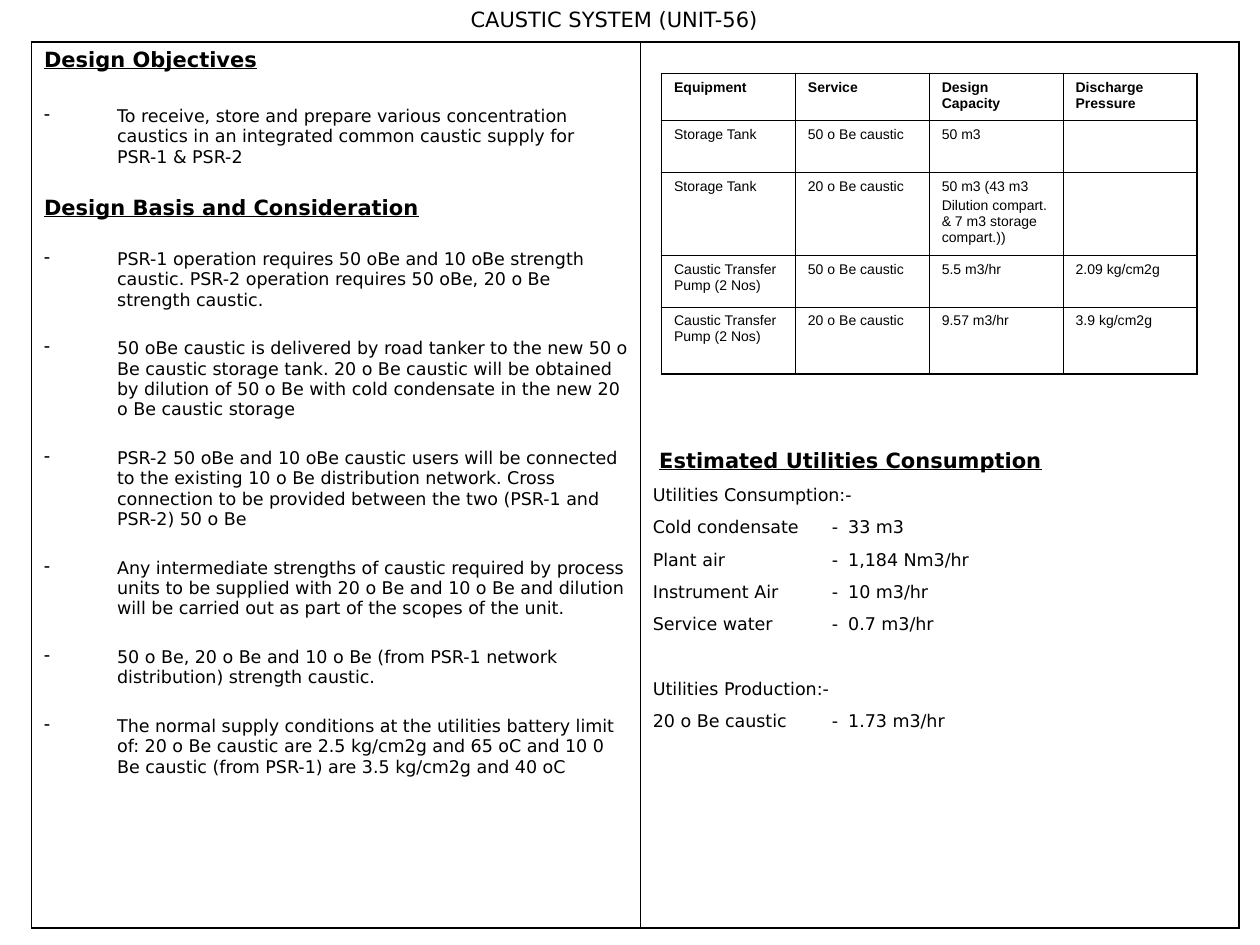
from lxml.etree import SubElement
from pptx import Presentation
from pptx.dml.color import RGBColor as Color
from pptx.enum.text import PP_ALIGN as Align
from pptx.oxml.ns import qn
from pptx.util import Inches, Pt

COLORS = {"ink": "000000"}
BODY_FONT, TABLE_FONT = "DejaVu Sans", "Arial"
UNIT = Inches(10) / 120  # the slide is a grid of 120 columns by 90 rows
THICK, THIN = 1.08, 0.45

OBJECTIVES = [
    "To receive, store and prepare various concentration caustics in an integrated "
    "common caustic supply for PSR-1 & PSR-2",
]
CONSIDERATIONS = [
    "PSR-1 operation requires 50 oBe and 10 oBe strength caustic. PSR-2 operation "
    "requires 50 oBe, 20 o Be strength caustic.",
    "50 oBe caustic is delivered by road tanker to the new 50 o Be caustic storage tank. "
    "20 o Be caustic will be obtained by dilution of 50 o Be with cold condensate in the "
    "new 20 o Be caustic storage",
    "PSR-2 50 oBe and 10 oBe caustic users will be connected to the existing 10 o Be "
    "distribution network. Cross connection to be provided between the two (PSR-1 and "
    "PSR-2) 50 o Be",
    "Any intermediate strengths of caustic required by process units to be supplied with "
    "20 o Be and 10 o Be and dilution will be carried out as part of the scopes of the unit.",
    "50 o Be, 20 o Be and 10 o Be (from PSR-1 network distribution) strength caustic.",
    "The normal supply conditions at the utilities battery limit of: 20 o Be caustic are "
    "2.5 kg/cm2g and 65 oC and 10 0 Be caustic (from PSR-1) are 3.5 kg/cm2g and 40 oC",
]
EQUIPMENT = [
    ["Equipment", "Service", "Design Capacity", "Discharge Pressure"],
    ["Storage Tank", "50 o Be caustic", "50 m3", ""],
    ["Storage Tank", "20 o Be caustic",
     "50 m3 (43 m3\nDilution compart. & 7 m3 storage compart.))", ""],
    ["Caustic Transfer Pump (2 Nos)", "50 o Be caustic", "5.5 m3/hr", "2.09 kg/cm2g"],
    ["Caustic Transfer Pump (2 Nos)", "20 o Be caustic", "9.57 m3/hr", "3.9 kg/cm2g"],
]
CONSUMPTION = [
    ("Cold condensate", "33 m3"),
    ("Plant air", "1,184 Nm3/hr"),
    ("Instrument Air", "10 m3/hr"),
    ("Service water", "0.7 m3/hr"),
]
PRODUCTION = [("20 o Be caustic", "1.73 m3/hr")]


def grid(*cells):
    return [round(cell * UNIT) for cell in cells]


def add_para(frame, text, size, font=BODY_FONT, before=0, bold=False, underline=False):
    """Write into the empty first paragraph, or else into a new one."""
    first = frame.paragraphs[0]
    if first.runs:
        para = frame.add_paragraph()
        para.space_before = Pt(before)
    else:
        para = first
    span = para.add_run()
    span.text = text
    span.font.name, span.font.size = font, Pt(size)
    span.font.bold, span.font.underline = bold, underline
    span.font.color.rgb = Color.from_string(COLORS["ink"])
    return para


def add_heading(frame, text, before=0):
    return add_para(frame, text, 12, before=before, bold=True, underline=True)


def add_dashes(frame, items, before):
    for item in items:
        para = add_para(frame, item, 10, before=before)
        props = para._p.get_or_add_pPr()
        props.set("marL", str(Inches(0.58)))
        props.set("indent", str(-Inches(0.58)))
        color = SubElement(props, qn("a:buClr"))
        SubElement(color, qn("a:srgbClr"), val=COLORS["ink"])
        SubElement(props, qn("a:buChar"), char="-")


def add_quantities(frame, title, items, before):
    """A title line, then name, dash and amount lined up on two tab stops."""
    gap = 6.5
    add_para(frame, title, 10, before=before)
    for name, amount in items:
        para = add_para(frame, f"{name}\t-\t{amount}", 10, before=gap)
        stops = SubElement(para._p.get_or_add_pPr(), qn("a:tabLst"))
        for stop in (1.42, 1.55):
            SubElement(stops, qn("a:tab"), pos=str(Inches(stop)), algn="l")


def add_box(page, *place):
    frame = page.shapes.add_textbox(*grid(*place)).text_frame
    frame.word_wrap = True
    return frame


def add_border(cell, side, width):
    line = SubElement(cell._tc.get_or_add_tcPr(), qn(f"a:ln{side}"), w=str(Pt(width)))
    fill = SubElement(line, qn("a:solidFill"))
    SubElement(fill, qn("a:srgbClr"), val=COLORS["ink"])


def add_ruled_table(page, left, top, widths, heights):
    """An unfilled table with a thick frame and thin inner rules."""
    place = grid(left, top, sum(widths), sum(heights))
    table = page.shapes.add_table(len(heights), len(widths), *place).table
    table.first_row = table.horz_banding = False
    for column, width in zip(table.columns, grid(*widths)):
        column.width = width
    for row, height in zip(table.rows, grid(*heights)):
        row.height = height
    last_row, last_col = len(heights) - 1, len(widths) - 1
    for r in range(len(heights)):
        for c in range(len(widths)):
            cell = table.cell(r, c)
            outer = {"L": c == 0, "R": c == last_col, "T": r == 0, "B": r == last_row}
            for side, is_outer in outer.items():
                add_border(cell, side, THICK if is_outer else THIN)
            cell.fill.background()
    return table


def add_design_panel(page):
    panel = add_ruled_table(page, 3, 4, [58, 57], [84.4])
    frame = panel.cell(0, 0).text_frame
    add_heading(frame, "Design Objectives")
    add_dashes(frame, OBJECTIVES, before=19)
    add_heading(frame, "Design Basis and Consideration", before=16.6)
    add_dashes(frame, CONSIDERATIONS, before=16.1)


def add_equipment(page):
    table = add_ruled_table(page, 63, 7, [12.75] * 4, [4.5, 4.9, 7.9, 4.9, 6.4])
    for r, row in enumerate(EQUIPMENT):
        for c, text in enumerate(row):
            for line in text.split("\n") if text else []:
                add_para(table.cell(r, c).text_frame, line, 8, TABLE_FONT,
                         before=2, bold=r == 0)


def add_utilities(page):
    frame = add_box(page, 61, 42, 56, 31)
    heading = add_heading(frame, "Estimated Utilities Consumption")
    heading._p.get_or_add_pPr().set("marL", str(Inches(0.05)))
    add_quantities(frame, "Utilities Consumption:-", CONSUMPTION, before=6.5)
    add_quantities(frame, "Utilities Production:-", PRODUCTION, before=25)


def main():
    deck = Presentation()
    deck.slide_width, deck.slide_height = grid(120, 90)
    page = deck.slides.add_slide(deck.slide_layouts[6])

    # Title
    title = add_para(add_box(page, 4, 0, 109, 3.6), "CAUSTIC SYSTEM (UNIT-56)", 12)
    title.alignment = Align.CENTER

    # Framed panel, then the right-hand contents
    add_design_panel(page)
    add_equipment(page)
    add_utilities(page)

    deck.save("out.pptx")


if __name__ == "__main__":
    main()
